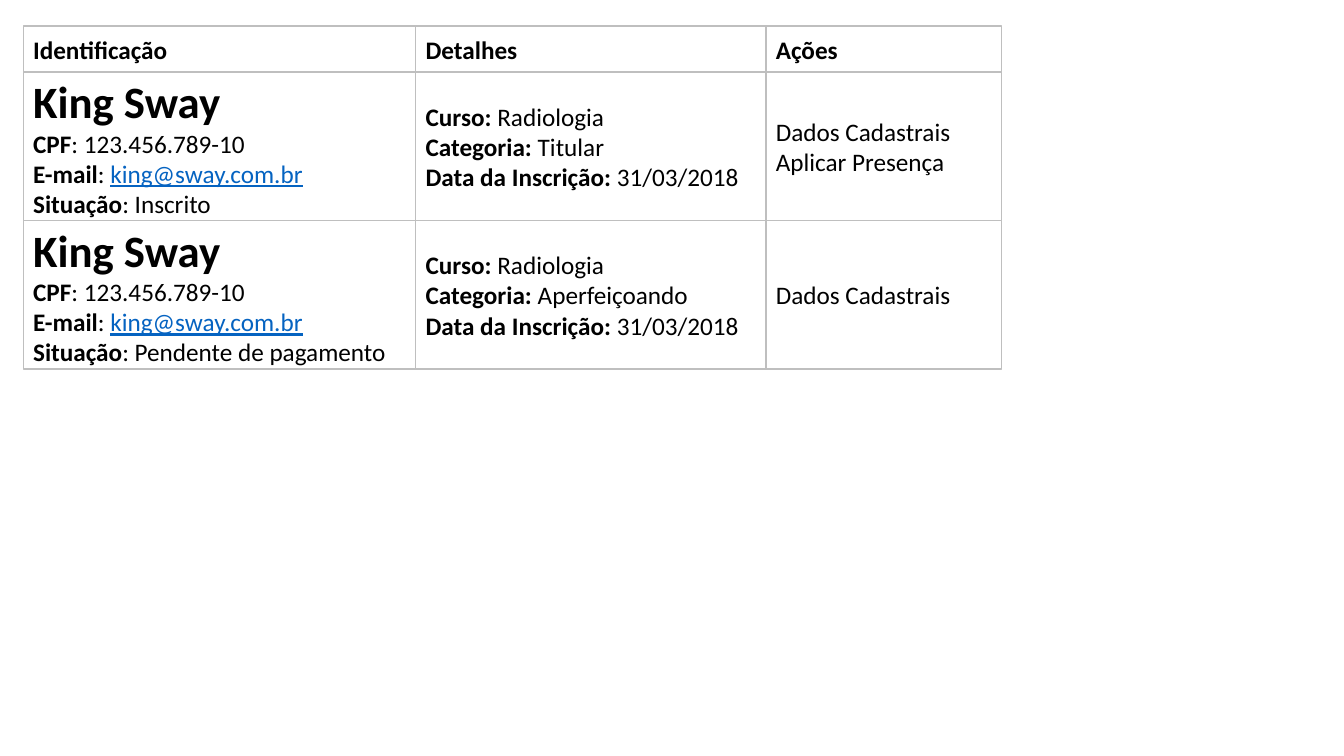
from itertools import accumulate

from pptx import Presentation
from pptx.dml.color import RGBColor
from pptx.enum.shapes import MSO_SHAPE
from pptx.enum.text import MSO_ANCHOR, PP_ALIGN
from pptx.util import Pt

RECT = MSO_SHAPE.RECTANGLE
MIDDLE = MSO_ANCHOR.MIDDLE
LEFT = PP_ALIGN.LEFT

COLORS = {"paper": "FFFFFF", "border": "BFBFBF", "text": "000000", "link": "0563C1"}
FORMATS = {
    "name": {"size": Pt(32), "bold": True},
    "label": {"size": Pt(18), "bold": True},
    "value": {"size": Pt(18), "bold": False},
    "link": {"size": Pt(18), "bold": False, "underline": True},
}

COL_WIDTHS = [280.3, 250.2, 168.5]
ROW_HEIGHTS = [33, 106, 106]
COL_LEFTS = list(accumulate(COL_WIDTHS[:-1], initial=16.6))
ROW_TOPS = list(accumulate(ROW_HEIGHTS[:-1], initial=18.5))


class Board:
    def __init__(self, prs):
        self.font = "Calibri"
        self.slide = prs.slides.add_slide(prs.slide_layouts[6])

    def color(self, name):
        return RGBColor.from_string(COLORS[name])

    def cell(self, left, top, width, height, lines):
        s = self.slide.shapes.add_shape(RECT, Pt(left), Pt(top), Pt(width), Pt(height))
        s.shadow.inherit = False
        s.fill.solid()
        s.fill.fore_color.rgb = self.color("paper")
        s.line.color.rgb = self.color("border")
        s.line.width = Pt(1)
        tf = s.text_frame
        tf.word_wrap = True
        tf.vertical_anchor = MIDDLE
        for i, line in enumerate(lines):
            p = tf.paragraphs[0] if i == 0 else tf.add_paragraph()
            p.alignment = LEFT
            for text, style in line:
                self.run(p, text, style)

    def run(self, p, text, style):
        r = p.add_run()
        r.text = text
        r.font.name = self.font
        r.font.color.rgb = self.color("link" if style == "link" else "text")
        for key, value in FORMATS[style].items():
            setattr(r.font, key, value)


def enrollment(status, category, actions):
    identity = [
        [("King Sway", "name")],
        [("CPF", "label"), (": 123.456.789-10", "value")],
        [("E-mail", "label"), (": ", "value"), ("king@sway.com.br", "link")],
        [("Situação", "label"), (f": {status}", "value")],
    ]
    details = [
        [("Curso: ", "label"), ("Radiologia", "value")],
        [("Categoria: ", "label"), (category, "value")],
        [("Data da Inscrição: ", "label"), ("31/03/2018", "value")],
    ]
    return [identity, details, [[(action, "value")] for action in actions]]


def main():
    prs = Presentation()
    prs.slide_width, prs.slide_height = Pt(960), Pt(540)
    board = Board(prs)
    rows = [
        [[[(title, "label")]] for title in ("Identificação", "Detalhes", "Ações")],
        enrollment("Inscrito", "Titular", ["Dados Cadastrais", "Aplicar Presença"]),
        enrollment("Pendente de pagamento", "Aperfeiçoando", ["Dados Cadastrais"]),
    ]
    for top, height, row in zip(ROW_TOPS, ROW_HEIGHTS, rows):
        for left, width, lines in zip(COL_LEFTS, COL_WIDTHS, row):
            board.cell(left, top, width, height, lines)
    prs.save("out.pptx")


if __name__ == "__main__":
    main()
